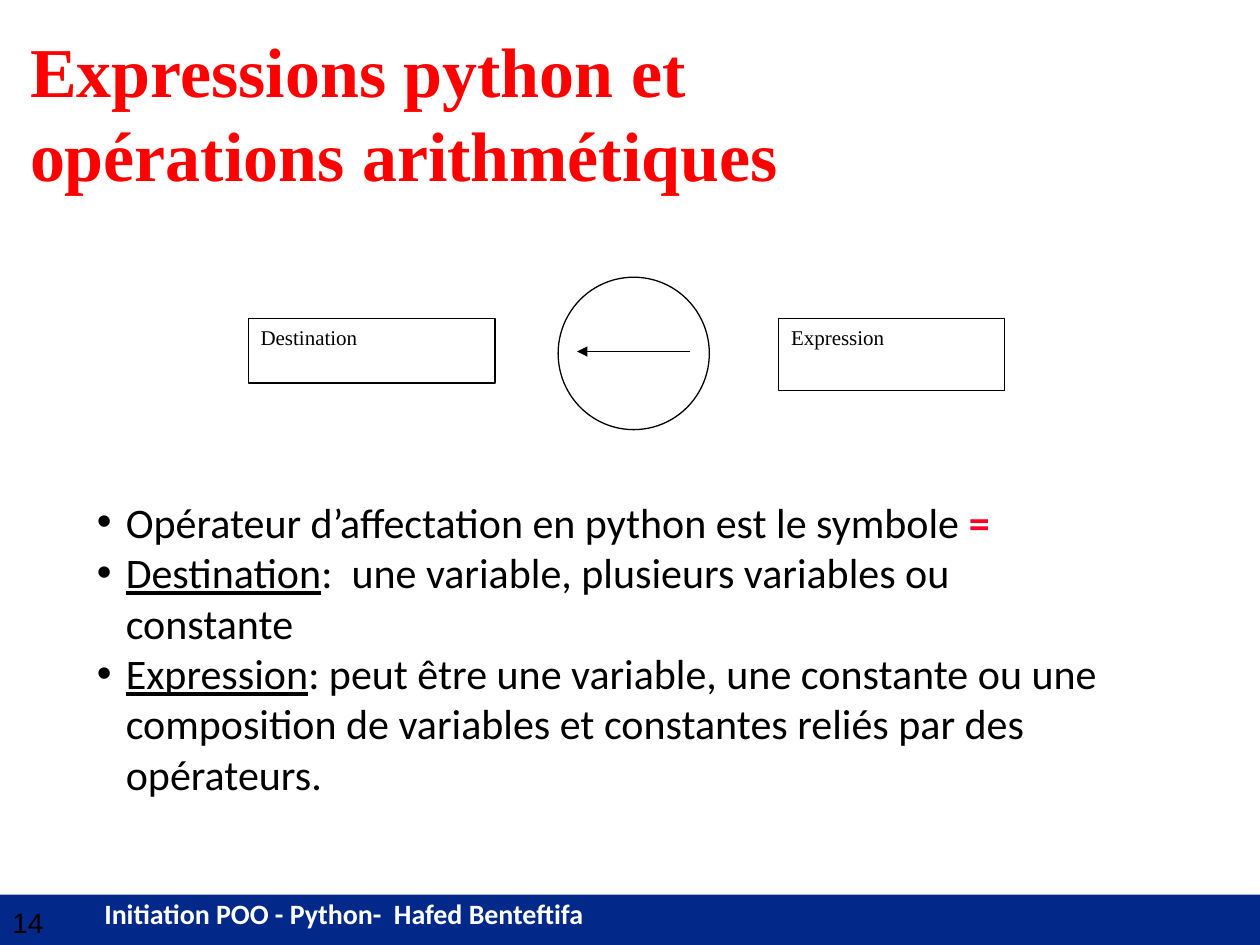
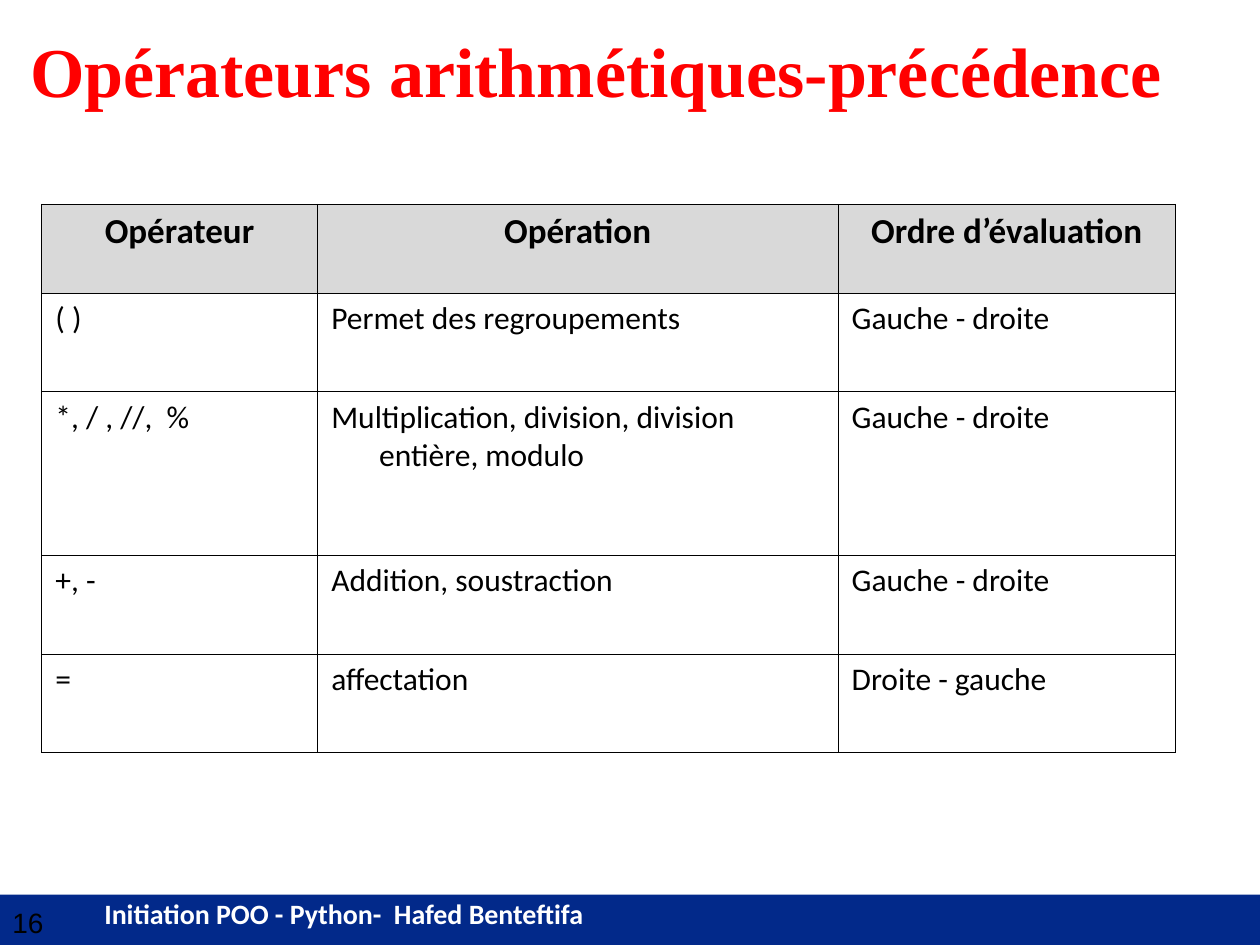
import pptx
import pptx.dml.color
import pptx.enum.dml
import pptx.enum.shapes
import pptx.enum.text
import pptx.oxml.ns
import pptx.util
from lxml import etree

Inches = pptx.util.Inches
Pt = pptx.util.Pt
SHAPES = pptx.enum.shapes.MSO_SHAPE
ALIGN = pptx.enum.text.PP_ALIGN

COLORS = {
    "band": "02298A",
    "title": "FF0000",
    "symbol": "FC0128",
    "header": "D9D9D9",
    "black": "000000",
    "white": "FFFFFF",
}
SERIF, SANS, NUMBER_FONT = "Times New Roman", "Calibri", "Arial"
LINE_PITCH = 1.2  # line height as a multiple of the text size
FOOTER = "Initiation POO - Python-  Hafed Benteftifa"

ASSIGNMENT_RULES = [
    [("Opérateur d’affectation en python est le symbole ", {}),
     ("=", {"color": "symbol", "bold": True})],
    [("Destination", {"underline": True}),
     (":  une variable, plusieurs variables ou constante", {})],
    [("Expression", {"underline": True}),
     (": peut être une variable, une constante ou une composition de "
      "variables et constantes reliés par des opérateurs.", {})],
]

PRECEDENCE = [
    ("Opérateur", "Opération", "Ordre d’évaluation"),
    ("( )", "Permet des regroupements", "Gauche - droite"),
    ("*, / , //,  %", "Multiplication, division, division entière, modulo",
     "Gauche - droite"),
    ("+, -", "Addition, soustraction", "Gauche - droite"),
    ("=", "affectation", "Droite - gauche"),
]
COLUMN_WIDTHS = (2.19, 4.13, 2.68)
ROW_HEIGHTS = (0.71, 0.78, 1.3, 0.78, 0.78)


def rgb(name):
    return pptx.dml.color.RGBColor.from_string(COLORS[name])


def add_span(para, text, size, font, color="black", bold=False, underline=False):
    span = para.add_run()
    span.text = text
    span.font.size = Pt(size)
    span.font.name = font
    span.font.color.rgb = rgb(color)
    span.font.bold = bold
    span.font.underline = underline


def add_text_box(page, left, top, width, height):
    box = page.shapes.add_textbox(
        Inches(left), Inches(top), Inches(width), Inches(height))
    box.text_frame.word_wrap = True
    return box.text_frame


def add_label(page, text, place, size, font, color="black", bold=False):
    frame = add_text_box(page, *place)
    add_span(frame.paragraphs[0], text, size, font, color, bold)


def add_outline(page, preset, place, fill="white", line="black"):
    shape = page.shapes.add_shape(preset, *[Inches(length) for length in place])
    shape.shadow.inherit = False
    shape.fill.solid()
    shape.fill.fore_color.rgb = rgb(fill)
    if line:
        shape.line.color.rgb = rgb(line)
        shape.line.width = Pt(0.75)
    else:
        shape.line.fill.background()
    return shape


def add_named_box(page, text, place):
    frame = add_outline(page, SHAPES.RECTANGLE, place).text_frame
    frame.word_wrap = True
    frame.vertical_anchor = pptx.enum.text.MSO_ANCHOR.TOP
    para = frame.paragraphs[0]
    para.alignment = ALIGN.LEFT
    add_span(para, text, 12, SERIF)


def add_arrow(page, start, end):
    arrow = page.shapes.add_connector(
        pptx.enum.shapes.MSO_CONNECTOR.STRAIGHT,
        *[Inches(length) for length in start + end])
    arrow.line.color.rgb = rgb("black")
    arrow.line.width = Pt(0.75)
    head = etree.SubElement(
        arrow.line._get_or_add_ln(), pptx.oxml.ns.qn("a:tailEnd"))
    head.set("type", "triangle")
    etree.SubElement(
        arrow._element.spPr, pptx.oxml.ns.qn("a:effectLst"))


def set_hanging(para, indent):
    properties = para._p.get_or_add_pPr()
    properties.set("marL", str(Inches(indent)))
    properties.set("indent", str(-Inches(indent)))
    return properties


def add_bullets(page, place, items, size=24):
    frame = add_text_box(page, *place)
    for number, item in enumerate(items):
        para = frame.add_paragraph() if number else frame.paragraphs[0]
        para.line_spacing = Pt(size * LINE_PITCH)
        properties = set_hanging(para, 0.23)
        font = etree.SubElement(properties, pptx.oxml.ns.qn("a:buFont"))
        font.set("typeface", NUMBER_FONT)
        bullet = etree.SubElement(properties, pptx.oxml.ns.qn("a:buChar"))
        bullet.set("char", "•")
        for text, style in item:
            add_span(para, text, size, SANS, **style)


def set_borders(cell, width=0.45):
    properties = cell._tc.get_or_add_tcPr()
    for side in ("lnL", "lnR", "lnT", "lnB"):
        line = etree.SubElement(properties, pptx.oxml.ns.qn("a:" + side))
        line.set("w", str(Pt(width)))
        fill = etree.SubElement(line, pptx.oxml.ns.qn("a:solidFill"))
        color = etree.SubElement(fill, pptx.oxml.ns.qn("a:srgbClr"))
        color.set("val", COLORS["black"])


def fill_cell(cell, text, is_header):
    set_borders(cell)
    cell.fill.solid()
    cell.fill.fore_color.rgb = rgb("header" if is_header else "white")
    cell.margin_left = cell.margin_right = Inches(0.11)
    cell.margin_top = cell.margin_bottom = Inches(0.05)
    para = cell.text_frame.paragraphs[0]
    para.alignment = ALIGN.CENTER if is_header else ALIGN.LEFT
    set_hanging(para, 0.38)
    add_span(para, text, 20 if is_header else 18, SANS, bold=is_header)


def add_grid(page, left, top, rows):
    table = page.shapes.add_table(
        len(rows), len(COLUMN_WIDTHS), Inches(left), Inches(top),
        Inches(sum(COLUMN_WIDTHS)), Inches(sum(ROW_HEIGHTS))).table
    for column, width in zip(table.columns, COLUMN_WIDTHS):
        column.width = Inches(width)
    for row, height in zip(table.rows, ROW_HEIGHTS):
        row.height = Inches(height)
    for row_number, texts in enumerate(rows):
        for column_number, text in enumerate(texts):
            fill_cell(table.cell(row_number, column_number), text, row_number == 0)


def add_page(deck, number, title_lines):
    page = deck.slides.add_slide(deck.slide_layouts[6])
    # Footer band, page number and course name
    add_outline(page, SHAPES.RECTANGLE, (0, 7.1, 10, 0.4), "band", None)
    add_label(page, str(number), (0, 7.14, 0.58, 0.36), 16, NUMBER_FONT)
    add_label(page, FOOTER, (0.73, 7.07, 9.27, 0.4), 16, SANS, "white", True)
    # Title
    size = 40
    para = add_text_box(page, 0.14, 0.17, 9.68, 0.93).paragraphs[0]
    para.line_spacing = Pt(size * LINE_PITCH)
    for line_number, text in enumerate(title_lines):
        if line_number:
            para.add_line_break()
        add_span(para, text, size, SERIF, "title", True)
    return page


def add_assignment_page(deck):
    page = add_page(deck, 14, ["Expressions python et", "opérations arithmétiques"])
    # Assignment diagram: the expression goes into the destination
    add_named_box(page, "Destination", (1.97, 2.53, 1.96, 0.51))
    add_named_box(page, "Expression", (6.18, 2.53, 1.79, 0.57))
    add_outline(page, SHAPES.OVAL, (4.43, 2.2, 1.2, 1.21))
    add_arrow(page, (5.48, 2.79), (4.58, 2.79))
    # Explanation
    add_bullets(page, (0.67, 3.89, 8.35, 2.5), ASSIGNMENT_RULES)


def add_precedence_page(deck):
    page = add_page(deck, 16, ["Opérateurs arithmétiques-précédence"])
    add_grid(page, 0.33, 1.62, PRECEDENCE)


def main():
    deck = pptx.Presentation()
    deck.slide_width = Inches(10)
    deck.slide_height = Inches(7.5)
    add_assignment_page(deck)
    add_precedence_page(deck)
    deck.save("out.pptx")


if __name__ == "__main__":
    main()
